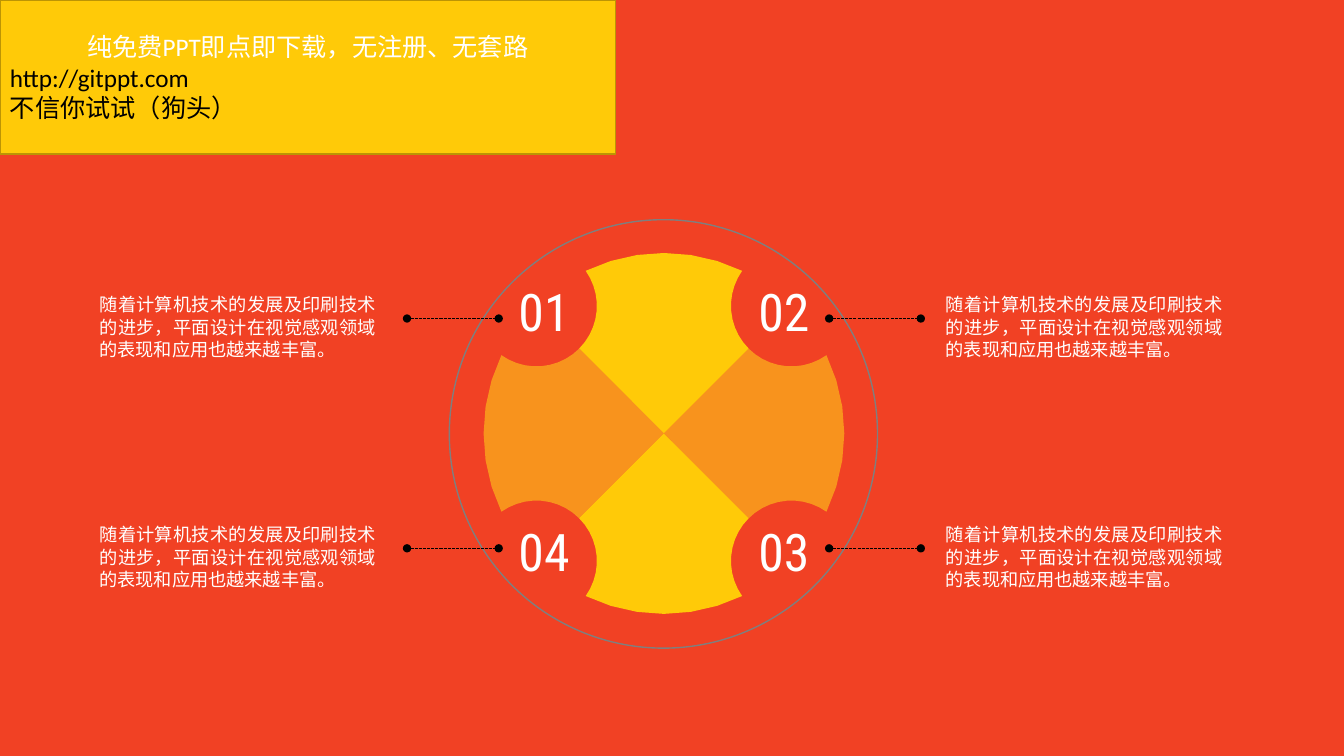
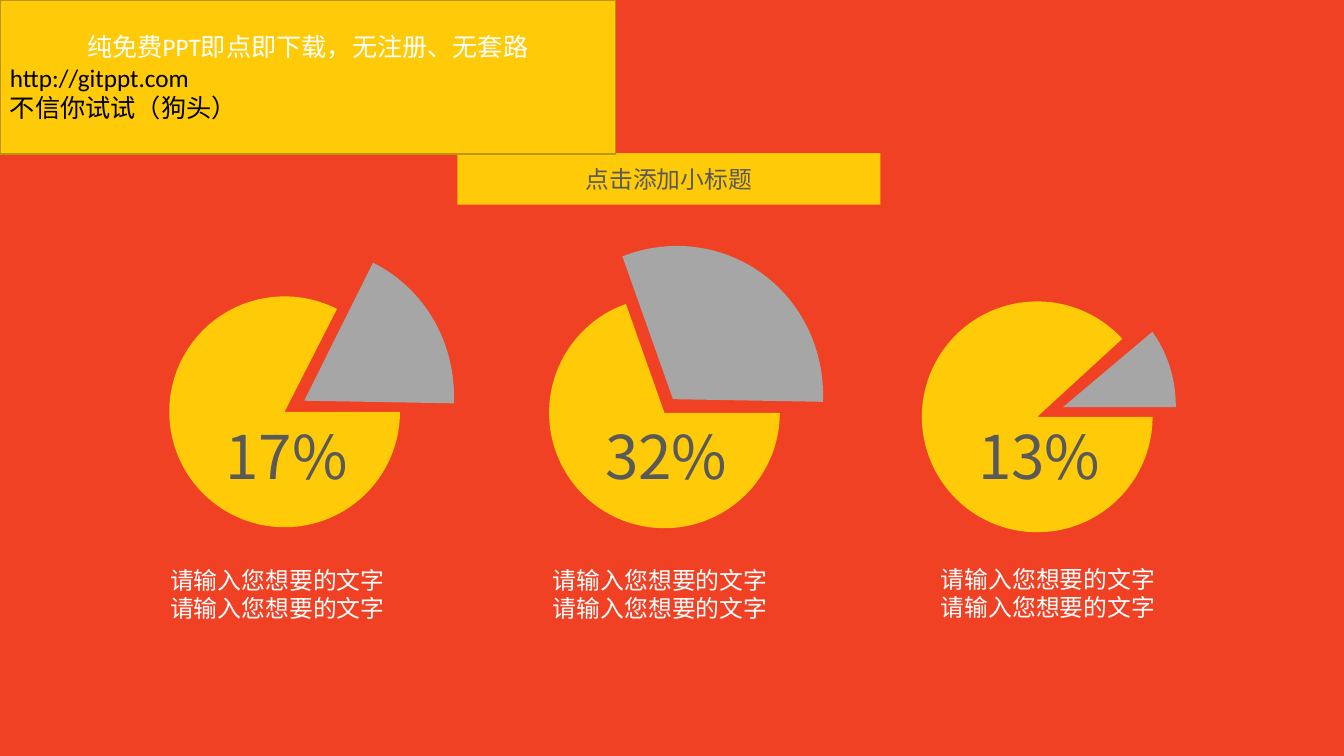
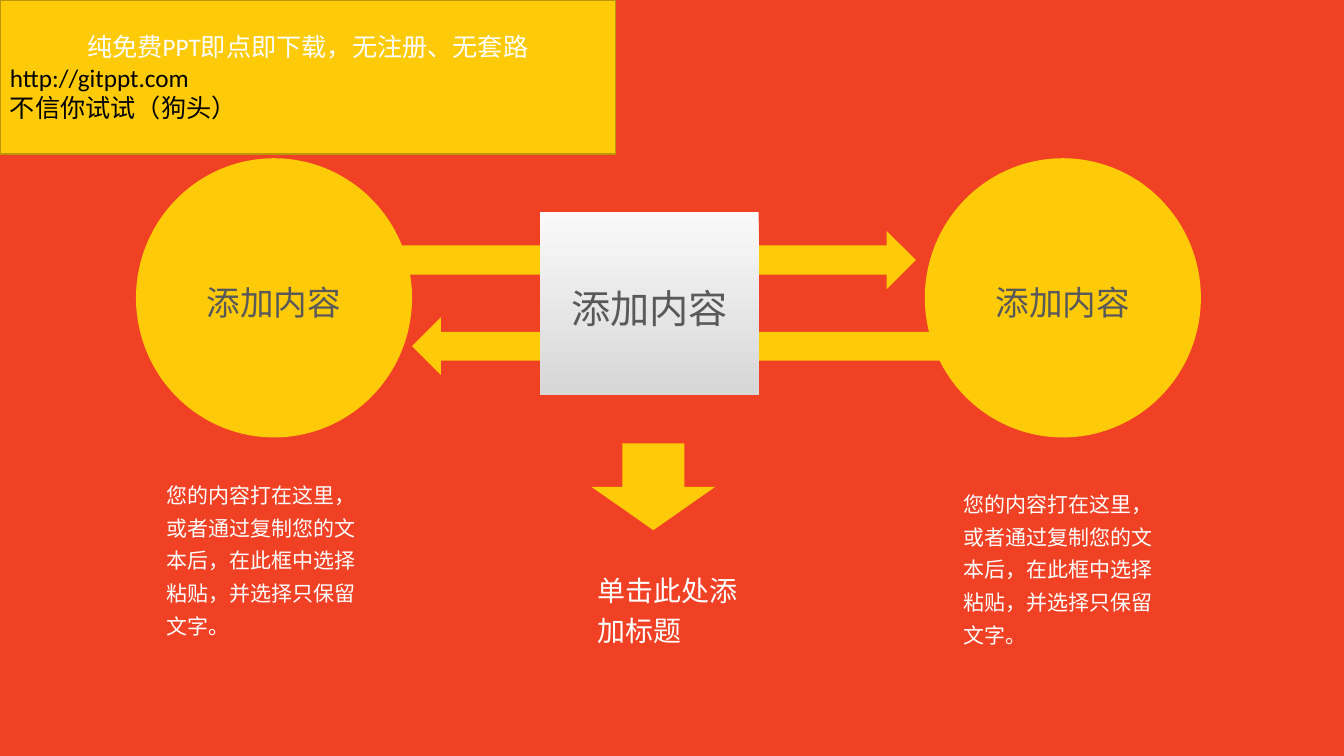
from dataclasses import dataclass
from math import asin, cos, degrees, radians, sin

from lxml import etree
from pptx import Presentation
from pptx.dml.color import RGBColor
from pptx.enum.dml import MSO_LINE
from pptx.enum.shapes import MSO_CONNECTOR, MSO_SHAPE
from pptx.enum.text import MSO_ANCHOR, PP_ALIGN
from pptx.oxml.ns import qn
from pptx.util import Emu, Pt

# Shared style
PX = 9144  # 100 px to the inch
RED = RGBColor(0xF1, 0x41, 0x24)
YELLOW = RGBColor(0xFF, 0xCA, 0x08)
ORANGE = RGBColor(0xF8, 0x93, 0x1D)
GOLD = RGBColor(0xBC, 0x94, 0x04)
SILVER = RGBColor(0xA6, 0xA6, 0xA6)
GREY = RGBColor(0x7F, 0x7F, 0x7F)
DARK = RGBColor(0x59, 0x59, 0x59)
WHITE = RGBColor(0xFF, 0xFF, 0xFF)
BLACK = RGBColor(0, 0, 0)
PALE = RGBColor(0xF9, 0xF9, 0xF9)
LIGHT = RGBColor(0xD7, 0xD7, 0xD7)
SANS, CONDENSED, LATIN = "Noto Sans CJK SC", "Roboto Condensed", "Calibri"
LEFT, CENTER, JUSTIFY = PP_ALIGN.LEFT, PP_ALIGN.CENTER, PP_ALIGN.JUSTIFY
TOP, MIDDLE = MSO_ANCHOR.TOP, MSO_ANCHOR.MIDDLE
RECT, OVAL, PIE = MSO_SHAPE.RECTANGLE, MSO_SHAPE.OVAL, MSO_SHAPE.PIE
RIGHT_ARROW, LEFT_ARROW = MSO_SHAPE.RIGHT_ARROW, MSO_SHAPE.LEFT_ARROW
DOWN_ARROW = MSO_SHAPE.DOWN_ARROW
STRAIGHT, DASH = MSO_CONNECTOR.STRAIGHT, MSO_LINE.SQUARE_DOT

Point = tuple[float, float]


@dataclass(frozen=True)
class Box:
    x: int
    y: int
    w: int
    h: int

    def emu(self) -> list[Emu]:
        return [Emu(v * PX) for v in (self.x, self.y, self.w, self.h)]


@dataclass(frozen=True)
class Callout:
    number: str
    number_x: int
    line_x: int
    text_x: int
    top: int


@dataclass(frozen=True)
class Sector:
    """Part of an ellipse; angles in degrees, clockwise from the right."""
    box: Box
    start: float
    end: float
    rotation: float = 0


@dataclass(frozen=True)
class Pie:
    percent: str
    rest: Sector
    slice: Sector
    percent_box: Box
    caption: Box


def write(sp, *lines: str, size: float, color: RGBColor = WHITE, font: str = SANS,
          align=LEFT, anchor=TOP, spacing=None, inset: tuple[int, int] = (10, 5)) -> None:
    """Put one paragraph per line into a shape."""
    tf = sp.text_frame
    tf.word_wrap, tf.vertical_anchor = True, anchor
    tf.margin_left = tf.margin_right = Emu(inset[0] * PX)
    tf.margin_top = tf.margin_bottom = Emu(inset[1] * PX)
    for i, line in enumerate(lines):
        p = tf.add_paragraph() if i else tf.paragraphs[0]
        p.alignment, p.line_spacing = align, spacing
        r = p.add_run()
        r.text = line
        r.font.size, r.font.name = Pt(size), font
        r.font.color.rgb = color
        etree.SubElement(r.font._element, qn("a:ea"), typeface=font)


def add_text(s, box: Box, *lines: str, **style) -> None:
    write(s.shapes.add_textbox(*box.emu()), *lines, **style)


def paint(sp, fill: RGBColor | None, line: RGBColor | None = None):
    sp.shadow.inherit = False
    if fill is None:
        sp.fill.background()
    else:
        sp.fill.solid()
        sp.fill.fore_color.rgb = fill
    if line is None:
        sp.line.fill.background()
    else:
        sp.line.color.rgb = line
        sp.line.width = Pt(1)
    return sp


def add_shape(s, kind, box: Box, fill: RGBColor | None, line: RGBColor | None = None):
    return paint(s.shapes.add_shape(kind, *box.emu()), fill, line)


def add_outline(s, points: list[Point], fill: RGBColor) -> None:
    (x, y), *rest = [(px * PX, py * PX) for px, py in points]
    builder = s.shapes.build_freeform(round(x), round(y), scale=1.0)
    builder.add_line_segments(rest, close=True)
    paint(builder.convert_to_shape(), fill)


def arc(center: Point, radius: float, start: float, end: float) -> list[Point]:
    """Points on an arc; angles in degrees, counter-clockwise from the right."""
    steps = max(1, round(abs(end - start) / 8))
    angles = [radians(start + (end - start) * i / steps) for i in range(steps + 1)]
    return [(center[0] + radius * cos(a), center[1] - radius * sin(a)) for a in angles]


def add_sector(s, sector: Sector, fill: RGBColor) -> None:
    sp = add_shape(s, PIE, sector.box, fill)
    sp.rotation = sector.rotation
    for i, angle in enumerate((sector.start, sector.end)):
        sp.adjustments[i] = angle * 0.6  # 60000 units to the degree


def add_dotted_line(s, x: int, y: int, length: int) -> None:
    c = s.shapes.add_connector(STRAIGHT, *Box(x, y, x + length, y).emu())
    c.line.color.rgb, c.line.width, c.line.dash_style = BLACK, Pt(0.75), DASH
    ln = c.element.spPr.find(qn("a:ln"))
    for end in ("a:headEnd", "a:tailEnd"):
        etree.SubElement(ln, qn(end), type="oval")
    etree.SubElement(c.element.spPr, qn("a:effectLst"))


def add_band(s) -> None:
    band = add_shape(s, RECT, Box(0, 0, 611, 153), YELLOW, GOLD)
    write(band, "纯免费PPT即点即下载，无注册、无套路", "http://gitppt.com", "不信你试试（狗头）",
          size=18, color=BLACK, font=LATIN, anchor=MIDDLE)
    heading = band.text_frame.paragraphs[0]
    heading.alignment = CENTER
    heading.runs[0].font.color.rgb = WHITE


# Slide 1: wheel with four numbered callouts
HUB, WHEEL_R, NOTCH_R = (659, 430), 179, 60
CALLOUT_TEXT = "随着计算机技术的发展及印刷技术的进步，平面设计在视觉感观领域的表现和应用也越来越丰富。"
CALLOUTS = [
    Callout("01", 495, 404, 89, 286),
    Callout("02", 733, 823, 929, 286),
    Callout("03", 733, 823, 929, 514),
    Callout("04", 495, 404, 89, 514),
]


def add_petal(s, axis: float, fill: RGBColor) -> None:
    """Quarter of the wheel with its two outer corners cut by round notches."""
    cut = degrees(2 * asin(NOTCH_R / (2 * WHEEL_R)))
    sweep = 90 - cut / 2
    first, last = axis - 45, axis + 45
    notch_1, notch_2 = (arc(HUB, WHEEL_R, a, a)[0] for a in (first, last))
    add_outline(s, [
        HUB,
        *arc(notch_1, NOTCH_R, first + 180, first + 180 - sweep),
        *arc(HUB, WHEEL_R, first + cut, last - cut)[1:-1],
        *arc(notch_2, NOTCH_R, last + 180 + sweep, last + 180),
    ], fill)


def wheel_slide(s) -> None:
    add_shape(s, OVAL, Box(446, 218, 425, 425), None, GREY)
    for axis, fill in ((90, YELLOW), (0, ORANGE), (180, ORANGE), (270, YELLOW)):
        add_petal(s, axis, fill)
    for c in CALLOUTS:
        number_y = 273 if c.top < HUB[1] else 511
        add_text(s, Box(c.number_x, number_y, 90, 72), c.number,
                 size=37, font=CONDENSED, align=CENTER)
    for c in CALLOUTS:
        add_dotted_line(s, c.line_x, c.top + 30, 91)
        add_text(s, Box(c.text_x, c.top, 294, 77), CALLOUT_TEXT,
                 size=13, align=JUSTIFY, spacing=Pt(16))


# Slide 2: three pies with a pulled-out slice
CAPTION = "请输入您想要的文字"
PIES = [
    Pie("17%", Sector(Box(168, 294, 229, 229), 0, 297),
        Sector(Box(149, 250, 306, 295), 0, 64.5, 296.5),
        Box(214, 411, 165, 82), Box(159, 556, 259, 67)),
    Pie("32%", Sector(Box(545, 295, 229, 229), 0, 250.5),
        Sector(Box(515, 248, 306, 296), 314, 64.5, 296.5),
        Box(591, 411, 184, 82), Box(539, 556, 257, 67)),
    Pie("13%", Sector(Box(915, 299, 229, 229), 0, 317.5),
        Sector(Box(934, 292, 242, 224), 46, 86, 273.9),
        Box(961, 411, 169, 82), Box(924, 555, 254, 67)),
]


def pie_slide(s) -> None:
    for p in PIES:
        add_sector(s, p.rest, YELLOW)
        add_sector(s, p.slice, SILVER)
        add_text(s, p.percent_box, p.percent, size=43, color=DARK)
        add_text(s, p.caption, CAPTION, CAPTION, size=17)
    subtitle = add_shape(s, RECT, Box(454, 152, 420, 51), YELLOW)
    write(subtitle, "点击添加小标题", size=17, color=DARK, align=CENTER, anchor=MIDDLE)


# Slide 3: exchange between two circles
LABEL = "添加内容"
BODY = "您的内容打在这里，或者通过复制您的文本后，在此框中选择粘贴，并选择只保留文字。"
WIDE = (14, 7)


def exchange_slide(s) -> None:
    add_shape(s, RIGHT_ARROW, Box(390, 229, 519, 58), YELLOW)
    add_shape(s, LEFT_ARROW, Box(409, 315, 537, 57), YELLOW)
    circles = [add_shape(s, OVAL, Box(x, 157, 274, 277), YELLOW) for x in (135, 918)]
    block = add_shape(s, RECT, Box(536, 210, 217, 182), PALE)
    block.fill.gradient()
    block.fill.gradient_angle = 270
    for stop, color, position in zip(block.fill.gradient_stops, (PALE, LIGHT), (0, 1)):
        stop.color.rgb, stop.position = color, position
    for sp, size in zip([*circles, block], (24, 24, 28)):
        write(sp, LABEL, size=size, color=DARK, align=CENTER, anchor=MIDDLE,
              spacing=1.2, inset=WIDE)
    add_shape(s, DOWN_ARROW, Box(587, 440, 123, 86), YELLOW)
    for x, y in ((151, 464), (942, 473)):
        add_text(s, Box(x, y, 226, 176), BODY, size=15, spacing=1.3, inset=WIDE)
    add_text(s, Box(579, 555, 172, 94), "单击此处添加标题", size=20, spacing=1.2, inset=WIDE)


def main() -> None:
    prs = Presentation()
    prs.slide_width, prs.slide_height = Emu(1334 * PX), Emu(750 * PX)
    background = prs.slide_master.background.fill
    background.solid()
    background.fore_color.rgb = RED
    for draw in (wheel_slide, pie_slide, exchange_slide):
        s = prs.slides.add_slide(prs.slide_layouts[6])
        draw(s)
        add_band(s)
    prs.save("out.pptx")


if __name__ == "__main__":
    main()
